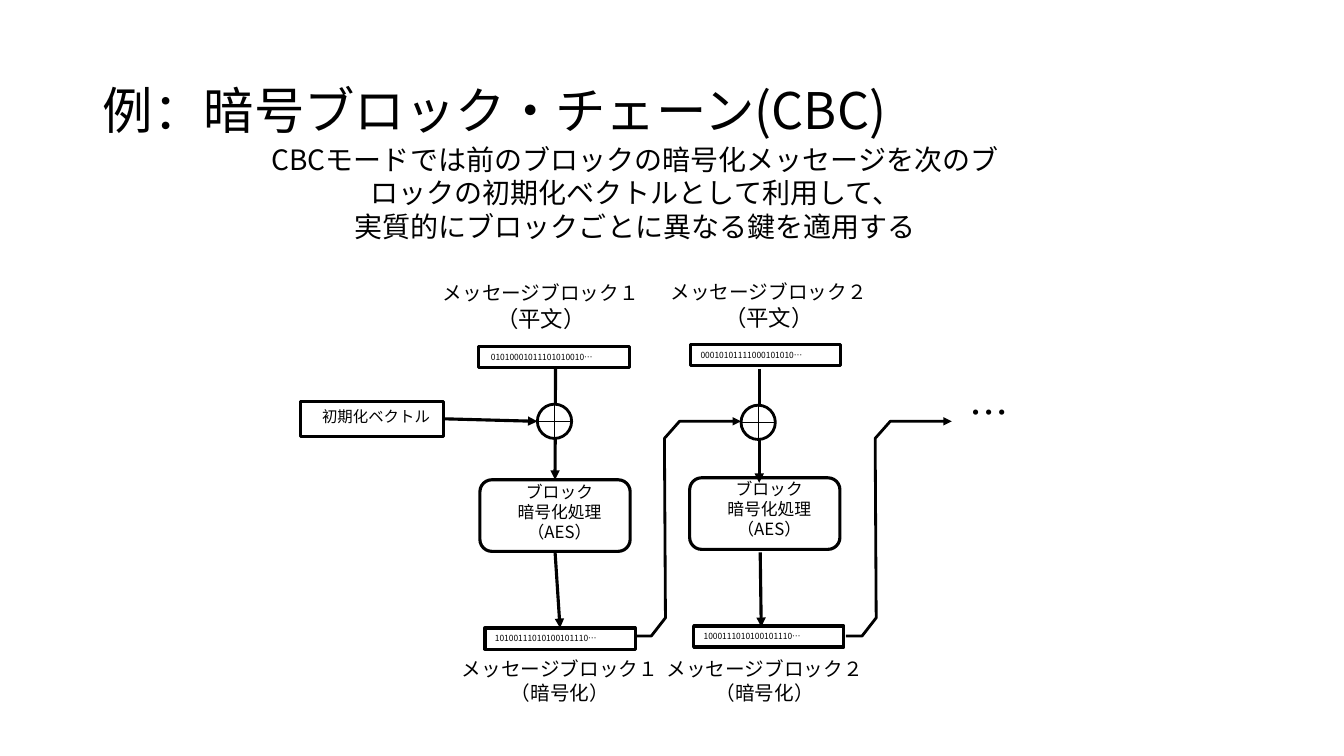
from dataclasses import dataclass

from lxml import etree
from pptx import Presentation
from pptx import util as u
from pptx.dml.color import RGBColor
from pptx.enum import shapes, text
from pptx.oxml.ns import qn

FONT = "Noto Sans CJK JP"
BLACK = "000000"
WHITE = "FFFFFF"
BLOCK_W, BLOCK_H = 1.49, 0.71
BITS_H = 0.21
XOR_D = 0.34


@dataclass
class Column:
    number: str
    plain_bits: str
    cipher_bits: str
    plain_box: tuple[float, float]
    plain_text_left: float
    cipher_box: tuple[float, float]
    plain_label: tuple[float, float]
    cipher_label: tuple[float, float]
    block: tuple[float, float]
    block_label: tuple[float, float]
    xor: tuple[float, float]
    down: tuple[float, float, float, float]
    out: tuple[float, float, float, float]
    feed_left: float
    joined: bool


COLUMNS = [
    Column("１", "01010001011101010010…", "10100111010100101110…",
           (4.75, 3.44), 4.77, (4.81, 6.23), (4.28, 2.74), (4.47, 6.47),
           (4.76, 4.76), (5.03, 4.73), (5.33, 4.01),
           (5.51, 3.65, 5.51, 4.77), (5.51, 5.47, 5.52, 6.21), 6.3, True),
    Column("２", "00010101111000101010…", "1000111010100101110…",
           (6.85, 3.42), 6.85, (6.88, 6.21), (6.54, 2.73), (6.5, 6.47),
           (6.84, 4.74), (7.11, 4.7), (7.35, 4.02),
           (7.53, 3.66, 7.53, 4.79), (7.54, 5.48, 7.55, 6.22), 8.39, False),
]
FEED_STEPS = [(0, 6.31), (0.16, 6.31), (0.3, 6.13), (0.29, 4.35), (0.44, 4.18), (1.05, 4.18)]


def color(value: str) -> RGBColor:
    return RGBColor.from_string(value)


def write(tf, lines: list[str], sizes: list[float], align=text.PP_ALIGN.LEFT, spacing=None) -> None:
    for i, (line, size) in enumerate(zip(lines, sizes)):
        p = tf.paragraphs[0] if i == 0 else tf.add_paragraph()
        p.alignment = align
        if spacing:
            p.line_spacing = spacing
        r = p.add_run()
        r.text = line
        r.font.size = u.Pt(size)
        r.font.name = FONT
        r.font.color.rgb = color(BLACK)
        ea = etree.SubElement(r.font._element, qn("a:ea"))
        ea.set("typeface", FONT)


def add_label(s, left, top, width, height, lines, sizes, align=text.PP_ALIGN.CENTER, wrap=False):
    sp = s.shapes.add_textbox(*map(u.Inches, (left, top, width, height)))
    tf = sp.text_frame
    tf.word_wrap = wrap
    tf.auto_size = text.MSO_AUTO_SIZE.SHAPE_TO_FIT_TEXT
    write(tf, lines, sizes, align)
    return sp


def style_line(line, width: float, arrow: bool = False) -> None:
    line.width = u.Pt(width)
    line.color.rgb = color(BLACK)
    if arrow:
        tail = etree.SubElement(line._get_or_add_ln(), qn("a:tailEnd"))
        tail.set("type", "triangle")


def add_box(parent, kind, left, top, width, height, line_width=2.25, fill=None):
    sp = parent.shapes.add_shape(kind, *map(u.Inches, (left, top, width, height)))
    sp.shadow.inherit = False
    if fill:
        sp.fill.solid()
        sp.fill.fore_color.rgb = color(fill)
    else:
        sp.fill.background()
    style_line(sp.line, line_width)
    return sp


def add_line(parent, x1, y1, x2, y2, width=2.25, arrow=True):
    c = parent.shapes.add_connector(shapes.MSO_CONNECTOR.STRAIGHT, *map(u.Inches, (x1, y1, x2, y2)))
    style_line(c.line, width, arrow)
    etree.SubElement(c._element.spPr, qn("a:effectLst"))
    return c


def add_bits(s, box, text_left, bits):
    left, top = box
    sp = add_box(s, shapes.MSO_SHAPE.RECTANGLE, left, top, BLOCK_W, BITS_H)
    add_label(s, text_left, top, 2.29, 0.2, [bits], [6], text.PP_ALIGN.LEFT, True)
    return sp


def add_xor(s, left, top):
    group = s.shapes.add_group_shape()
    circle = add_box(group, shapes.MSO_SHAPE.OVAL, left, top, XOR_D, XOR_D, 2, WHITE)
    mid_x, mid_y = left + XOR_D / 2, top + XOR_D / 2
    add_line(group, left, mid_y, left + XOR_D, mid_y, 0.75, False)
    add_line(group, mid_x, top, mid_x, top + XOR_D, 0.75, False)
    return circle


def add_feed(s, left):
    points = [(u.Inches(left + dx), u.Inches(y)) for dx, y in FEED_STEPS]
    builder = s.shapes.build_freeform(*points[0])
    builder.add_line_segments(points[1:], close=False)
    sp = builder.convert_to_shape()
    sp.shadow.inherit = False
    sp.fill.background()
    style_line(sp.line, 2, True)


def add_column(s, col: Column):
    add_bits(s, col.plain_box, col.plain_text_left, col.plain_bits)
    cipher = add_bits(s, col.cipher_box, col.cipher_box[0], col.cipher_bits)
    name = "メッセージブロック" + col.number
    add_label(s, *col.plain_label, 2.17, 0.61, [name, "（平文）"], [14, 16])
    add_label(s, *col.cipher_label, 2.17, 0.57, [name, "（暗号化）"], [14, 14])
    block = add_box(s, shapes.MSO_SHAPE.ROUNDED_RECTANGLE, *col.block, BLOCK_W, BLOCK_H)
    add_label(s, *col.block_label, 1.04, 0.71, ["ブロック", "暗号化処理", "（AES）"], [12] * 3)
    down = add_line(s, *col.down)
    xor = add_xor(s, *col.xor)
    out = add_line(s, *col.out)
    if col.joined:
        down.end_connect(block, 0)
        out.begin_connect(block, 2)
        out.end_connect(cipher, 0)
    add_feed(s, col.feed_left)
    return xor


def main() -> None:
    prs = Presentation()
    prs.slide_width, prs.slide_height = u.Inches(13.33), u.Inches(7.5)
    s = prs.slides.add_slide(prs.slide_layouts[5])

    title = s.shapes.title
    title.left, title.top, title.width, title.height = map(u.Inches, (0.92, 0.4, 11.5, 1.45))
    title.text_frame.vertical_anchor = text.MSO_ANCHOR.MIDDLE
    write(title.text_frame, ["例：暗号ブロック・チェーン(CBC)"], [36], spacing=0.9)

    add_label(s, 2.59, 1.36, 7.42, 1.11,
              ["CBCモードでは前のブロックの暗号化メッセージを次のブロックの初期化ベクトルとして利用して、",
               "実質的にブロックごとに異なる鍵を適用する"], [20, 20], wrap=True)

    vector = add_box(s, shapes.MSO_SHAPE.RECTANGLE, 2.98, 3.98, 1.42, 0.35)
    add_label(s, 3.04, 3.99, 1.38, 0.29, ["初期化ベクトル"], [11], wrap=True)

    first_xor, _ = [add_column(s, col) for col in COLUMNS]
    start = add_line(s, 4.41, 4.19, 5.33, 4.18)
    start.begin_connect(vector, 3)
    start.end_connect(first_xor, 2)
    start.end_x, start.end_y = u.Inches(5.33), u.Inches(4.18)

    add_label(s, 9.52, 3.8, 0.59, 0.57, ["…"], [28], text.PP_ALIGN.LEFT)
    prs.save("out.pptx")


if __name__ == "__main__":
    main()
